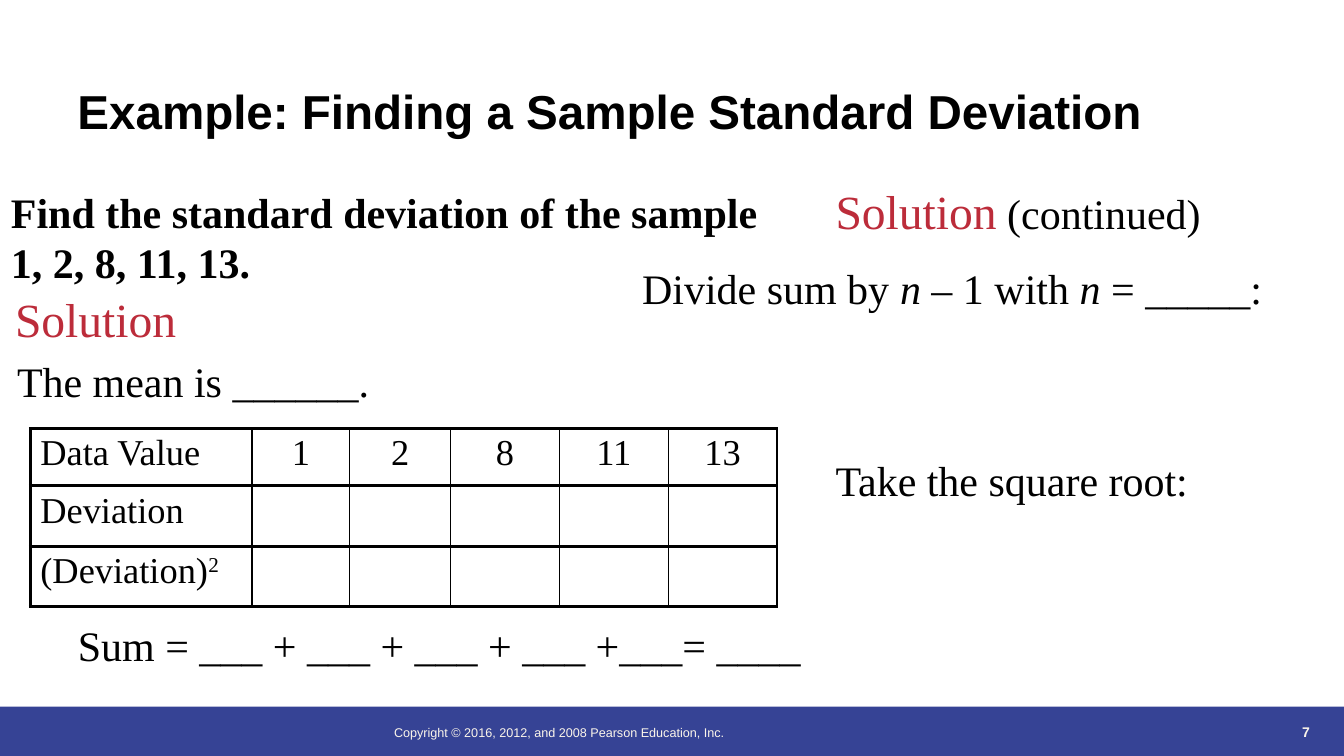
from dataclasses import dataclass, replace

from lxml.etree import SubElement
from pptx import Presentation
from pptx.dml.color import RGBColor
from pptx.enum.shapes import MSO_SHAPE as Shape
from pptx.enum.text import MSO_ANCHOR as Anchor, PP_ALIGN as Align
from pptx.oxml.ns import qn
from pptx.util import Inches, Pt

WIDTH, HEIGHT = Inches(13.33), Inches(7.5)


@dataclass(frozen=True)
class Style:
    name: str
    size: int
    color: str
    bold: bool = False
    italic: bool = False


@dataclass(frozen=True)
class Theme:
    band: str = "364395"
    rule: str = "000000"
    thick: float = 2.25
    thin: float = 1
    title: Style = Style("Arial", 34, "000000", bold=True)
    body: Style = Style("Times New Roman", 30, "000000")
    question: Style = Style("Times New Roman", 30, "000000", bold=True)
    heading: Style = Style("Times New Roman", 34, "BC2C3A")
    cell: Style = Style("Times New Roman", 26, "000000")
    copyright: Style = Style("Arial", 9, "FBF5EA")
    number: Style = Style("Arial", 10, "FBF5EA", bold=True)


THEME = Theme()


def across(percent):
    return round(WIDTH * percent / 100)


def down(percent):
    return round(HEIGHT * percent / 100)


def area(left, top, width, height):
    return across(left), down(top), across(width), down(height)


def apply(target, values):
    for name, value in values.items():
        setattr(target, name, value)


def add_span(para, text, style):
    span = para.add_run()
    span.text = text
    apply(span.font, {"name": style.name, "size": Pt(style.size),
                      "bold": style.bold, "italic": style.italic})
    span.font.color.rgb = RGBColor.from_string(style.color)
    return span


def add_text(page, place, lines, align=Align.LEFT, anchor=Anchor.TOP):
    frame = page.shapes.add_textbox(*area(*place)).text_frame
    apply(frame, {"word_wrap": True, "vertical_anchor": anchor})
    for index, spans in enumerate(lines):
        para = frame.add_paragraph() if index else frame.paragraphs[0]
        para.alignment = align
        for text, style in spans:
            add_span(para, text, style)


def add_band(page, place):
    band = page.shapes.add_shape(Shape.RECTANGLE, *area(*place))
    band.shadow.inherit = False
    band.fill.solid()
    band.fill.fore_color.rgb = RGBColor.from_string(THEME.band)
    band.line.fill.background()


def rule_cell(cell, widths):
    borders = cell._tc.get_or_add_tcPr()
    for side, width in widths.items():
        line = SubElement(borders, qn(f"a:ln{side}"), w=str(Pt(width)))
        fill = SubElement(line, qn("a:solidFill"))
        SubElement(fill, qn("a:srgbClr"), val=THEME.rule)
    cell.fill.background()


def add_grid(page, left, top, widths, heights, rows):
    place = area(left, top, sum(widths), sum(heights))
    table = page.shapes.add_table(len(heights), len(widths), *place).table
    apply(table, {"first_row": False, "horz_banding": False})
    for column, width in zip(table.columns, widths):
        column.width = across(width)
    for row, height in zip(table.rows, heights):
        row.height = down(height)
    last = len(widths) - 1
    for row, texts in zip(table.rows, rows):
        for index, cell in enumerate(row.cells):
            rule_cell(cell, {"L": THEME.thin if index else THEME.thick,
                             "R": THEME.thick if index == last else THEME.thin,
                             "T": THEME.thick, "B": THEME.thick})
            para = cell.text_frame.paragraphs[0]
            para.alignment = Align.CENTER if index else Align.LEFT
            if index < len(texts):
                add_span(para, texts[index], THEME.cell)
    return table


def main():
    deck = Presentation()
    apply(deck, {"slide_width": WIDTH, "slide_height": HEIGHT})
    page = deck.slides.add_slide(deck.slide_layouts[6])
    body, heading = THEME.body, THEME.heading
    variable = replace(body, italic=True)

    add_band(page, (0, 93.47, 100, 6.53))
    add_text(page, (28.58, 95.2, 49.2, 6.67),
             [[("Copyright © 2016, 2012, and 2008 Pearson Education, Inc.",
                THEME.copyright)]])
    add_text(page, (88.97, 91.87, 9.23, 6.67), [[("7", THEME.number)]],
             Align.RIGHT, Anchor.BOTTOM)
    add_text(page, (5.03, 2.4, 90, 16.67),
             [[("Example: Finding a Sample Standard Deviation", THEME.title)]],
             anchor=Anchor.BOTTOM)

    add_text(page, (0.08, 24, 63.17, 14.67),
             [[("Find the standard deviation of the sample", THEME.question)],
              [("1, 2, 8, 11, 13.", THEME.question)]])
    add_text(page, (0.38, 37.73, 31.28, 8.93), [[("Solution", heading)]])
    add_text(page, (0.53, 46.4, 29.33, 8.13), [[("The mean is ______.", body)]])
    table = add_grid(page, 2.25, 56.67, [16.5, 7.28, 7.5] + [8.1] * 3, [7.6, 8, 8],
                     [["Data Value", "1", "2", "8", "11", "13"],
                      ["Deviation"], ["(Deviation)"]])
    square = add_span(table.cell(2, 0).text_frame.paragraphs[0], "2", THEME.cell)
    square.font._element.set("baseline", "30000")
    add_text(page, (4.13, 81.33, 57.15, 8),
             [[("Sum = ___ + ___ + ___ + ___ +___= ____", body)]], Align.CENTER)

    add_text(page, (61.43, 23.47, 31.28, 8.93),
             [[("Solution", heading), (" (continued)", body)]])
    add_text(page, (47.04, 34.13, 49.66, 8.13),
             [[("Divide sum by ", body), ("n", variable), (" – 1 with ", body),
               ("n", variable), (" = _____:", body)]])
    add_text(page, (61.43, 59.47, 28.2, 8), [[("Take the square root:", body)]])
    deck.save("out.pptx")


if __name__ == "__main__":
    main()
